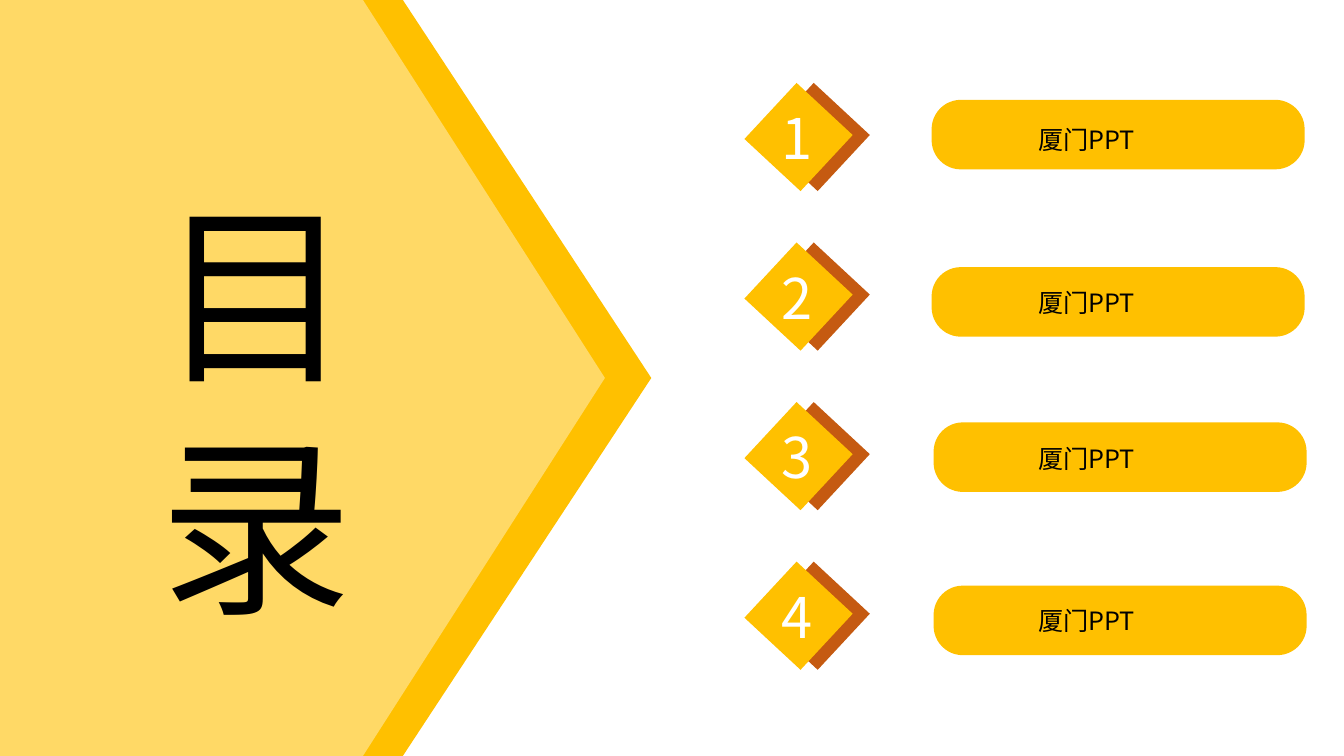
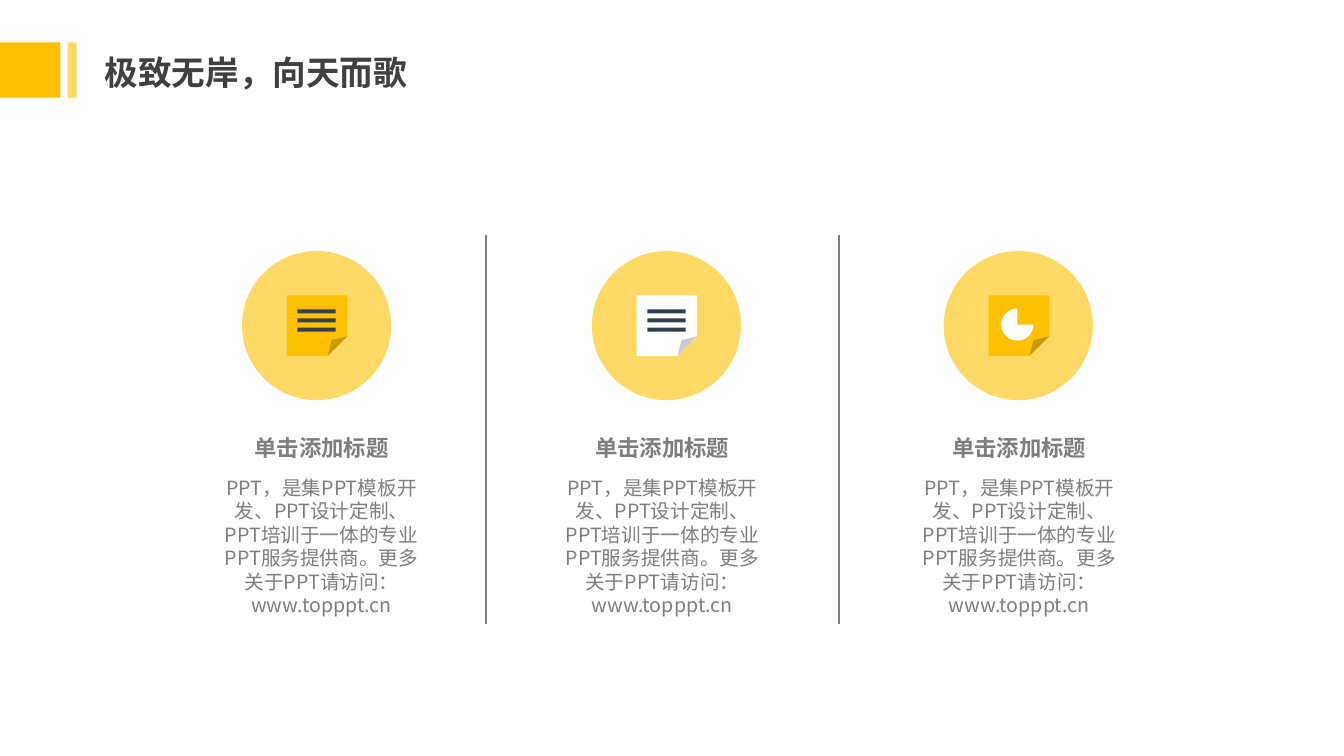
from lxml.etree import SubElement
from pptx import Presentation
from pptx.dml.color import RGBColor
from pptx.enum.shapes import MSO_CONNECTOR, MSO_SHAPE
from pptx.enum.text import PP_ALIGN
from pptx.oxml.ns import qn
from pptx.util import Inches, Pt

COLORS = {
    "gold": "FFC000",
    "pale": "FFD966",
    "rust": "C55A11",
    "navy": "333F50",
    "gray": "7E7E7D",
    "dark": "404040",
    "black": "000000",
    "white": "FFFFFF",
}
SANS = "Noto Sans CJK SC"
DISPLAY = "Noto Sans CJK JP"
BODY = ("PPT，是集PPT模板开发、PPT设计定制、PPT培训于一体的专业PPT服务提供商。"
        "更多关于PPT请访问：www.topppt.cn")


def color(name):
    return RGBColor.from_string(COLORS[name])


class Builder:
    """Holds the deck style and the current slide."""

    def __init__(self):
        self.deck = Presentation()
        self.deck.slide_width = Inches(13.33)
        self.deck.slide_height = Inches(7.5)
        self.page = None

    def new_page(self):
        self.page = self.deck.slides.add_slide(self.deck.slide_layouts[6])

    def group(self):
        return self.page.shapes.add_group_shape()

    def shape(self, kind, left, top, width, height, fill,
              adjust=(), rotation=0, group=None):
        shapes = (group or self.page).shapes
        box = shapes.add_shape(kind, Inches(left), Inches(top),
                               Inches(width), Inches(height))
        for index, value in enumerate(adjust):
            box.adjustments[index] = value
        box.rotation = rotation
        box.shadow.inherit = False
        box.fill.solid()
        box.fill.fore_color.rgb = color(fill)
        box.line.fill.background()
        return box

    def text(self, words, left, top, width, height, size, ink,
             face=SANS, bold=False, align=PP_ALIGN.LEFT):
        box = self.page.shapes.add_textbox(Inches(left), Inches(top),
                                           Inches(width), Inches(height))
        box.text_frame.word_wrap = True
        para = box.text_frame.paragraphs[0]
        para.text = words
        para.alignment = align
        para.line_spacing = Pt(size * 1.2)
        font = para.font
        font.size, font.bold, font.name = Pt(size), bold, face
        font.color.rgb = color(ink)
        # East Asian glyphs need their own typeface entry
        defaults = para._p.get_or_add_pPr().find(qn("a:defRPr"))
        SubElement(defaults, qn("a:ea")).set("typeface", face)

    def divider(self, x, top, bottom):
        line = self.page.shapes.add_connector(
            MSO_CONNECTOR.STRAIGHT, Inches(x), Inches(top), Inches(x), Inches(bottom))
        line.line.color.rgb = color("gray")
        line.line.width = Pt(1)
        SubElement(line._element.spPr, qn("a:effectLst"))

    def title(self, words):
        band = self.group()
        for left, width, fill in ((0, 0.6, "gold"), (0.67, 0.09, "pale")):
            self.shape(MSO_SHAPE.RECTANGLE, left, 0.42, width, 0.55, fill, group=band)
        self.text(words, 0.94, 0.47, 3.28, 0.51, 24, "dark", bold=True)

    def note_icon(self, left, paper, chart=False):
        icon = self.group()
        self.shape(MSO_SHAPE.OVAL, left, 2.49, 1.48, 1.48, "pale", group=icon)
        note = self.shape(MSO_SHAPE.FOLDED_CORNER, left + 0.445, 2.93, 0.6, 0.6, paper,
                          group=icon)
        # The library lists no adjustment for a folded corner
        guides = note._element.spPr.find(qn("a:prstGeom")).get_or_add_avLst()
        fold = SubElement(guides, qn("a:gd"))
        fold.set("name", "adj")
        fold.set("fmla", "val 32300")
        if chart:
            self.shape(MSO_SHAPE.PIE, left + 0.57, 3.06, 0.32, 0.32, "white", group=icon)
            return
        for row in range(3):
            self.shape(MSO_SHAPE.RECTANGLE, left + 0.55, 3.07 + row * 0.09,
                       0.38, 0.04, "navy", group=icon)


def contents_page(builder):
    builder.new_page()

    # Arrow panel with the heading, one character per line
    for left, width, fill in ((0.3, 6.16, "gold"), (0, 6, "pale")):
        builder.shape(MSO_SHAPE.RIGHT_ARROW, left, 0, width, 7.5, fill, adjust=[1, 0.4])
    builder.text("目录", 1.48, 1.68, 2.2, 4.75, 138, "black", face=DISPLAY)

    # Numbered entries: diamond, pill and label
    entries = [(9.24, 0.99, 1.18), (9.24, 2.65, 2.8),
               (9.26, 4.19, 4.35), (9.26, 5.81, 5.96)]
    for index, (pill_left, pill_top, label_top) in enumerate(entries):
        top = 0.98 + index * 1.583
        for left, fill in ((7.71, "rust"), (7.54, "gold")):
            builder.shape(MSO_SHAPE.RECTANGLE, left, top, 0.76, 0.76, fill, rotation=42.9)
        builder.text(str(index + 1), 7.65, top, 0.7, 0.77, 40, "white", face=DISPLAY)
        builder.shape(MSO_SHAPE.ROUNDED_RECTANGLE, pill_left, pill_top, 3.7, 0.69,
                      "gold", adjust=[0.421])
        builder.text("厦门PPT", 10.2, label_top, 3.02, 0.4, 18, "black")


def services_page(builder):
    builder.new_page()
    builder.title("极致无岸，向天而歌")

    # Column dividers
    for x in (4.82, 8.32):
        builder.divider(x, 2.33, 6.19)

    # Three columns: icon, heading and body text
    columns = [(2.4, 3.19, "gold", False), (5.87, 6.57, "white", False),
               (9.36, 10.11, "gold", True)]
    for icon_left, center, paper, chart in columns:
        builder.note_icon(icon_left, paper, chart)
        builder.text("单击添加标题", center - 0.785, 4.26, 1.57, 0.37, 16, "gray",
                     bold=True, align=PP_ALIGN.CENTER)
        builder.text(BODY, center - 1.12, 4.67, 2.24, 1.51, 14, "gray",
                     align=PP_ALIGN.CENTER)


def main():
    builder = Builder()
    contents_page(builder)
    services_page(builder)
    builder.deck.save("out.pptx")


if __name__ == "__main__":
    main()
